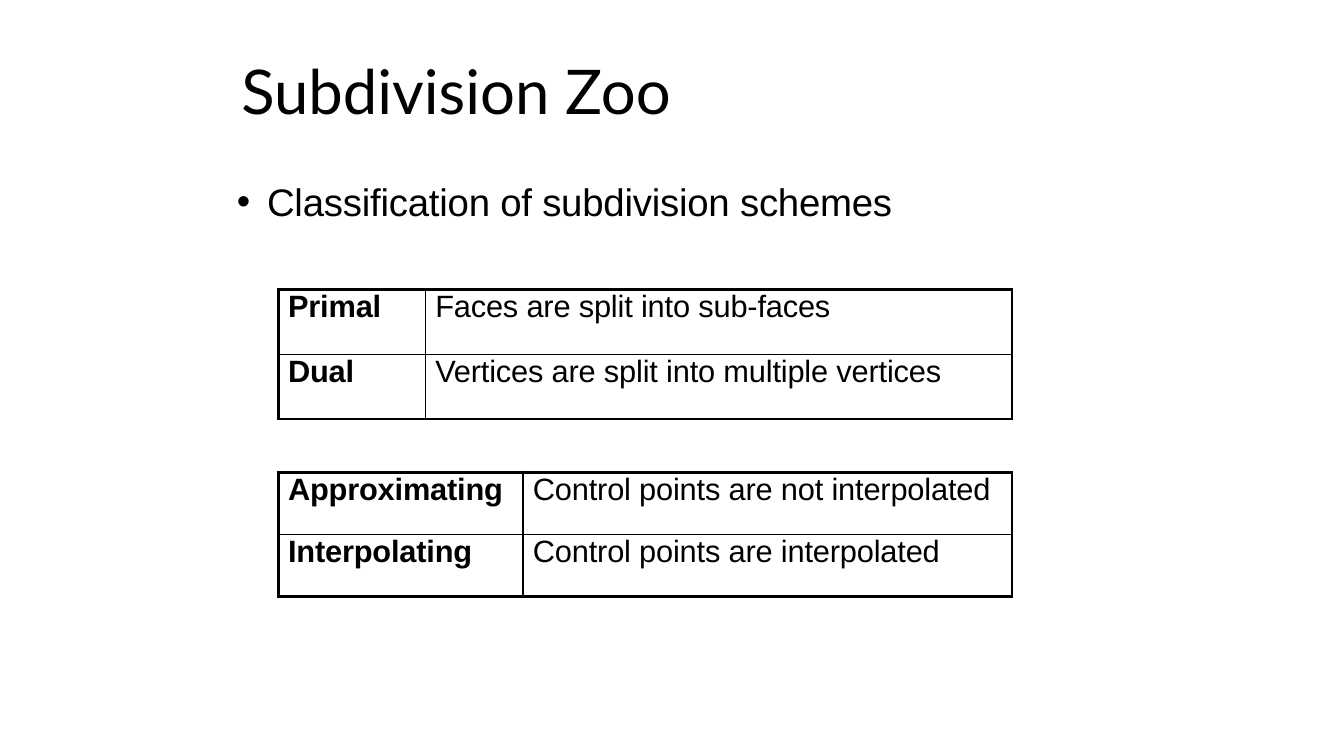
from lxml import etree
from pptx import Presentation
from pptx.dml.color import RGBColor
from pptx.enum.text import MSO_ANCHOR, PP_ALIGN
from pptx.oxml.ns import qn
from pptx.util import Cm, Pt

LEFT = PP_ALIGN.LEFT
TOP = MSO_ANCHOR.TOP
MIDDLE = MSO_ANCHOR.MIDDLE
TITLE_ONLY = 5

COLORS = {"ink": "000000"}
OUTER_LINE = Pt(2.25)
INNER_LINE = Pt(1)
TABLE_LEFT = Cm(7.01)

SPLITTING = [
    ("Primal", "Faces are split into sub-faces"),
    ("Dual", "Vertices are split into multiple vertices"),
]
FITTING = [
    ("Approximating", "Control points are not interpolated"),
    ("Interpolating", "Control points are interpolated"),
]


def write_text(frame, text, size, font="Arial", bold=False, spacing=0,
               margin=0, indent=0, bullet=None):
    paragraph = frame.paragraphs[0]
    paragraph.alignment = LEFT
    properties = paragraph._p.get_or_add_pPr()
    properties.set("marL", str(int(margin)))
    properties.set("indent", str(int(indent)))
    if bullet:
        etree.SubElement(properties, qn("a:buFont"), typeface=font)
        etree.SubElement(properties, qn("a:buChar"), char=bullet)
    run = paragraph.add_run()
    run.text = text
    run.font.name = font
    run.font.size = Pt(size)
    run.font.bold = bold
    run.font.color.rgb = RGBColor.from_string(COLORS["ink"])
    run._r.get_or_add_rPr().set("spc", str(spacing))


def prepare_frame(frame, anchor):
    frame.word_wrap = True
    frame.vertical_anchor = anchor
    frame.margin_left = frame.margin_right = 0
    frame.margin_top = Cm(0.03)
    frame.margin_bottom = 0


def place_title(slide, text):
    title = slide.shapes.title
    title.left, title.top = Cm(6.05), Cm(1.3)
    title.width, title.height = Cm(11.2), Cm(1.9)
    prepare_frame(title.text_frame, MIDDLE)
    write_text(title.text_frame, text, 44, font="Lato", margin=Cm(0.03))


def add_bullet_line(slide, text):
    statement = slide.shapes.add_textbox(Cm(5.94), Cm(4.47), Cm(16.59), Cm(1.19))
    prepare_frame(statement.text_frame, TOP)
    write_text(statement.text_frame, text, 27.4, spacing=-15,
               margin=Cm(0.79), indent=Cm(-0.76), bullet="•")


def set_borders(cell, widths):
    properties = cell._tc.get_or_add_tcPr()
    for side, width in widths.items():
        line = etree.SubElement(properties, qn(f"a:ln{side}"), w=str(int(width)))
        fill = etree.SubElement(line, qn("a:solidFill"))
        etree.SubElement(fill, qn("a:srgbClr"), val=COLORS["ink"])


def add_scheme_table(slide, schemes, top, column_widths, row_height):
    table = slide.shapes.add_table(
        len(schemes), len(column_widths), TABLE_LEFT, top,
        sum(column_widths), row_height * len(schemes)).table
    table.first_row = table.horz_banding = False
    for column, width in zip(table.columns, column_widths):
        column.width = width
    last_row, last_column = len(schemes) - 1, len(column_widths) - 1
    for r, scheme in enumerate(schemes):
        table.rows[r].height = row_height
        for c, text in enumerate(scheme):
            cell = table.cell(r, c)
            cell.margin_left = cell.margin_right = 0
            cell.margin_top = cell.margin_bottom = 0
            edges = {"L": c == 0, "R": c == last_column,
                     "T": r == 0, "B": r == last_row}
            set_borders(cell, {side: OUTER_LINE if outer else INNER_LINE
                               for side, outer in edges.items()})
            cell.fill.background()
            write_text(cell.text_frame, text, 22, bold=c == 0,
                       spacing=-10, margin=Cm(0.25))


def main():
    deck = Presentation()
    deck.slide_width, deck.slide_height = Cm(33.87), Cm(19.05)
    slide = deck.slides.add_slide(deck.slide_layouts[TITLE_ONLY])
    place_title(slide, "Subdivision Zoo")
    add_bullet_line(slide, "Classification of subdivision schemes")
    add_scheme_table(slide, SPLITTING, Cm(7.3), [Cm(3.71), Cm(14.78)], Cm(1.63))
    add_scheme_table(slide, FITTING, Cm(11.9), [Cm(6.17), Cm(12.32)], Cm(1.57))
    deck.save("out.pptx")


if __name__ == "__main__":
    main()
